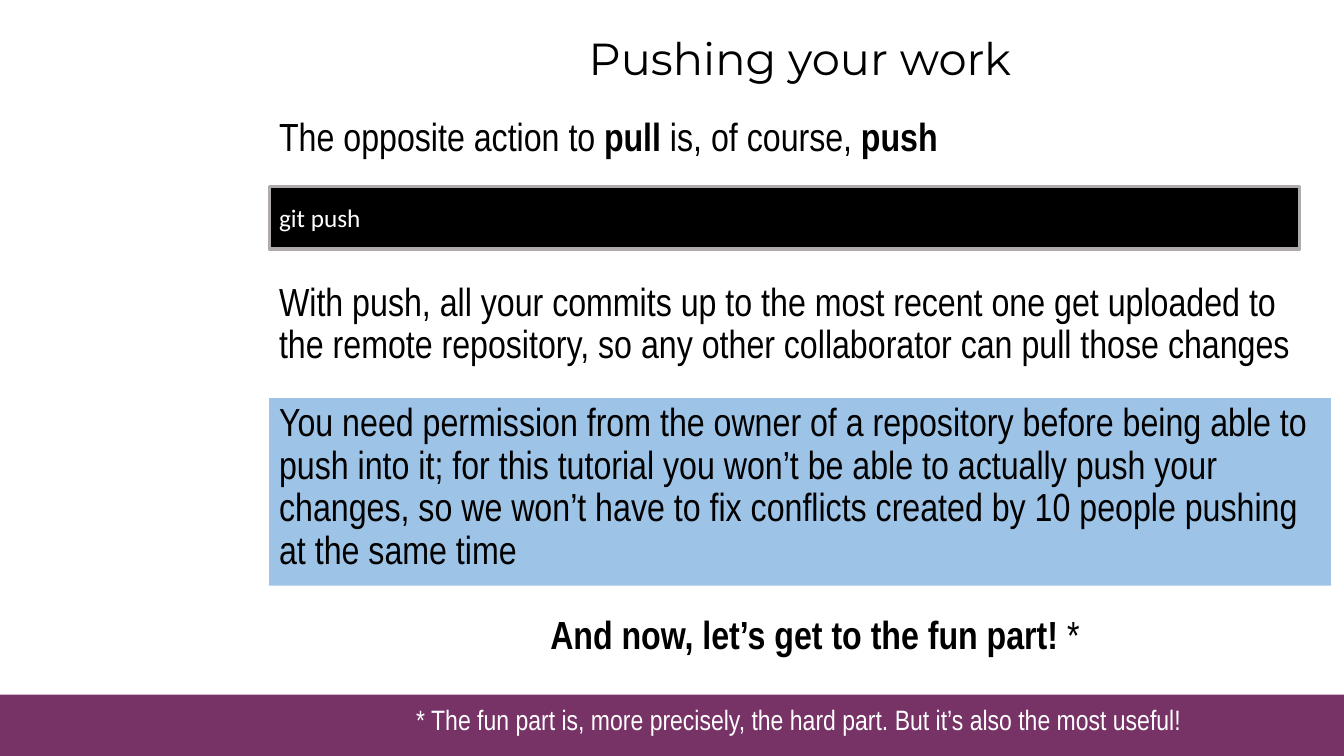
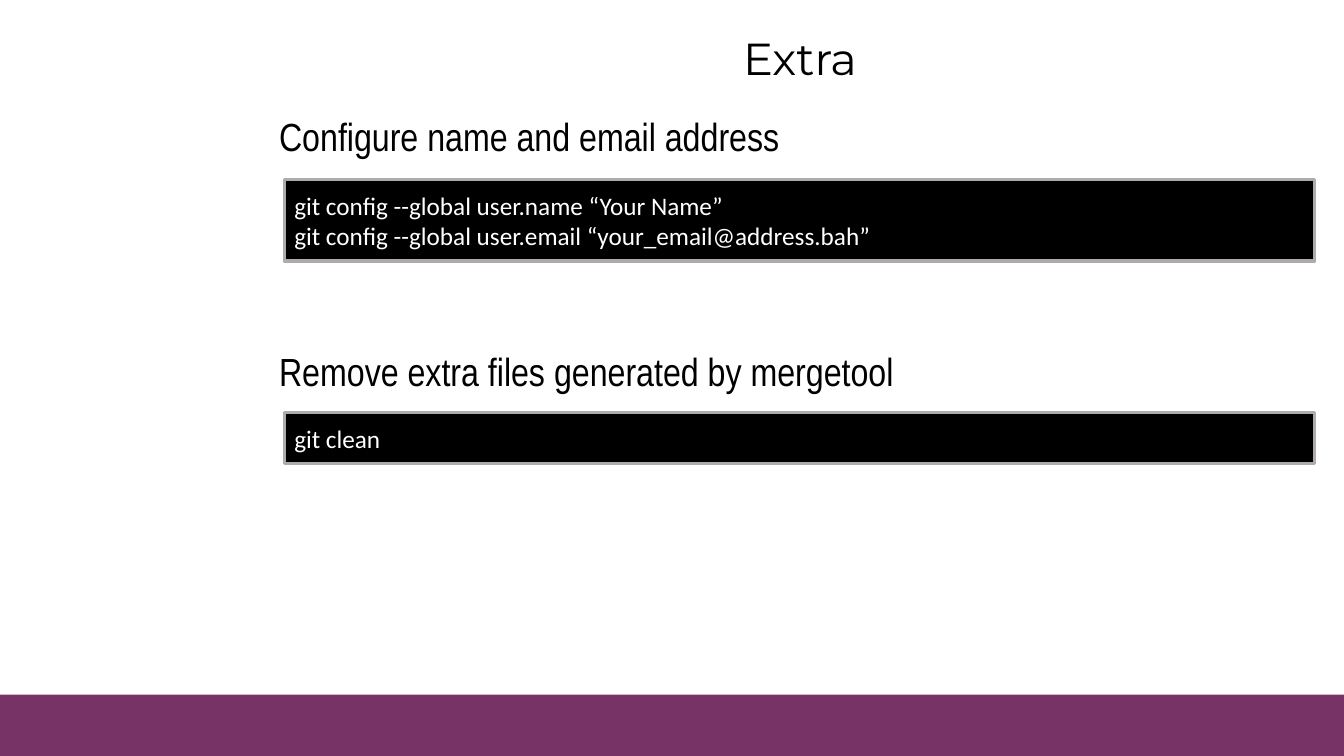
import pptx
import pptx.dml.color
import pptx.enum.shapes
import pptx.enum.text
import pptx.util

Inches = pptx.util.Inches
ALIGN = pptx.enum.text.PP_ALIGN
ANCHOR = pptx.enum.text.MSO_ANCHOR

COLORS = {
    "band": "773266",
    "text": "000000",
    "light": "FFFFFF",
    "terminal": "000000",
    "terminal_edge": "AFABAB",
    "note": "9DC3E6",
}
LEFT, WIDTH = 2.67, 10.53
TERMINAL_WIDTH = 10.22
SLIDE_WIDTH, SLIDE_HEIGHT, BAND_TOP = 13.33, 7.5, 6.89

# Text formats; a part names one of these
STYLES = {
    "title": dict(font="Montserrat", size=32, spacing=0.9, align=ALIGN.CENTER,
                  anchor=ANCHOR.MIDDLE),
    "line": dict(spacing=0.8, before=10),
    "body": dict(spacing=0.9, before=10),
    "note": dict(spacing=0.9, before=10),
    "terminal": dict(font="Calibri", size=18, color="light", anchor=ANCHOR.MIDDLE),
    "footnote": dict(size=20, color="light"),
}
# Fill and line colours of the styles that are drawn as rectangles
BOXES = {"note": ("note", None), "terminal": ("terminal", "terminal_edge")}

# Each part: style, (left, top, width, height), paragraphs.
# A paragraph is a list of (words, bold) spans.
SLIDES = [
    ("Pushing your work", [
        ("line", (LEFT, 1.16, WIDTH, 0.5),
         [[("The opposite action to ", False), ("pull", True),
           (" is, of course, ", False), ("push", True)]]),
        ("body", (LEFT, 2.75, WIDTH, 0.96),
         [[("With push, all your commits up to the most recent one get uploaded to "
            "the remote repository, so any other collaborator can pull those changes",
            False)]]),
        ("terminal", (LEFT, 1.85, TERMINAL_WIDTH, 0.62), [[("git push", False)]]),
        ("note", (LEFT, 3.95, WIDTH, 1.86),
         [[("You need permission from the owner of a repository before being able to "
            "push into it; for this tutorial you won’t be able to actually push your "
            "changes, so we won’t have to fix conflicts created by 10 people pushing "
            "at the same time", False)]]),
        ("line", (5.36, 6.1, 7.84, 0.5),
         [[("And now, let’s get to the fun part! ", True), ("*", False)]]),
        ("footnote", (4.03, 6.92, 7.81, 0.44),
         [[("* The fun part is, more precisely, the hard part. "
            "But it’s also the most useful!", False)]]),
    ]),
    ("Extra", [
        ("line", (LEFT, 1.16, WIDTH, 0.51),
         [[("Configure name and email address", False)]]),
        ("terminal", (2.82, 1.78, TERMINAL_WIDTH, 0.81),
         [[("git config --global user.name “Your Name”", False)],
          [("git config --global user.email “your_email@address.bah”", False)]]),
        ("line", (LEFT, 3.49, WIDTH, 0.51),
         [[("Remove extra files generated by mergetool", False)]]),
        ("terminal", (2.82, 4.09, TERMINAL_WIDTH, 0.51), [[("git clean", False)]]),
    ]),
]


def rgb(name):
    return pptx.dml.color.RGBColor.from_string(COLORS[name])


def write(shape, paragraphs, font="Arial Narrow", size=28, color="text",
          align=ALIGN.LEFT, anchor=ANCHOR.TOP, spacing=1.0, before=0):
    frame = shape.text_frame
    frame.word_wrap = True
    frame.auto_size = pptx.enum.text.MSO_AUTO_SIZE.NONE
    frame.vertical_anchor = anchor
    for index, spans in enumerate(paragraphs):
        para = frame.add_paragraph() if index else frame.paragraphs[0]
        para.alignment = align
        para.line_spacing = spacing
        para.space_before = pptx.util.Pt(before)
        for words, bold in spans:
            span = para.add_run()
            span.text = words
            span.font.name = font
            span.font.size = pptx.util.Pt(size)
            span.font.bold = bold
            span.font.color.rgb = rgb(color)


def add_box(page, place, fill, edge=None):
    box = page.shapes.add_shape(pptx.enum.shapes.MSO_SHAPE.RECTANGLE,
                                *map(Inches, place))
    box.shadow.inherit = False
    box.fill.solid()
    box.fill.fore_color.rgb = rgb(fill)
    if edge:
        box.line.color.rgb = rgb(edge)
        box.line.width = pptx.util.Pt(2.25)
    else:
        box.line.fill.background()
    return box


def add_part(page, style, place, paragraphs):
    if style in BOXES:
        shape = add_box(page, place, *BOXES[style])
    else:
        shape = page.shapes.add_textbox(*map(Inches, place))
    write(shape, paragraphs, **STYLES[style])


def set_up_layout(deck, layout):
    """Give the layout its title place and the band that all slides show."""
    title = layout.placeholders[0]
    title.left, title.top, title.width, title.height = map(
        Inches, (LEFT, 0.14, WIDTH, 0.92))
    # Layouts cannot add shapes, so the band is made on a slide and moved
    page = deck.slides[0]
    band = add_box(page, (0, BAND_TOP, SLIDE_WIDTH, SLIDE_HEIGHT - BAND_TOP), "band")
    layout.shapes.element.append(band.element)


def main():
    deck = pptx.Presentation()
    deck.slide_width, deck.slide_height = Inches(SLIDE_WIDTH), Inches(SLIDE_HEIGHT)
    layout = deck.slide_layouts[5]
    pages = [deck.slides.add_slide(layout) for _ in SLIDES]
    set_up_layout(deck, layout)
    for page, (title, parts) in zip(pages, SLIDES):
        write(page.shapes.title, [[(title, False)]], **STYLES["title"])
        for part in parts:
            add_part(page, *part)
    deck.save("out.pptx")


if __name__ == "__main__":
    main()
